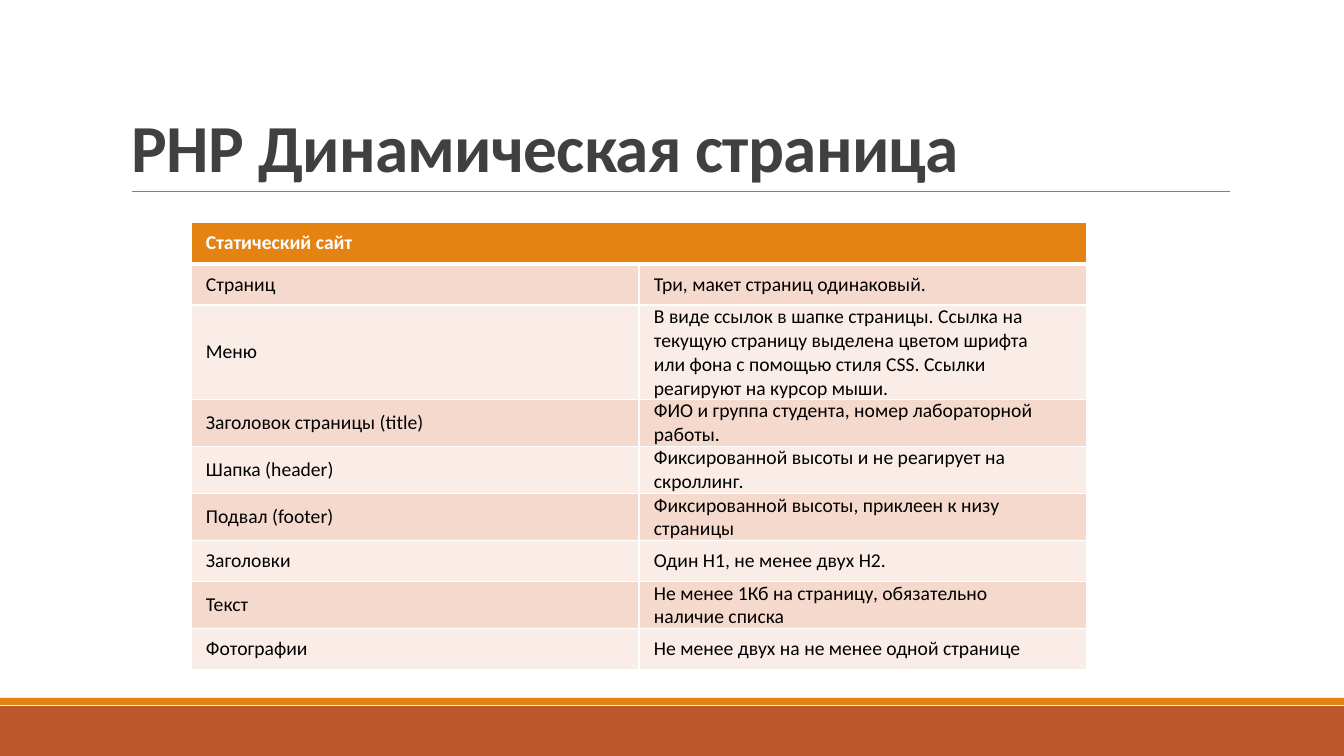
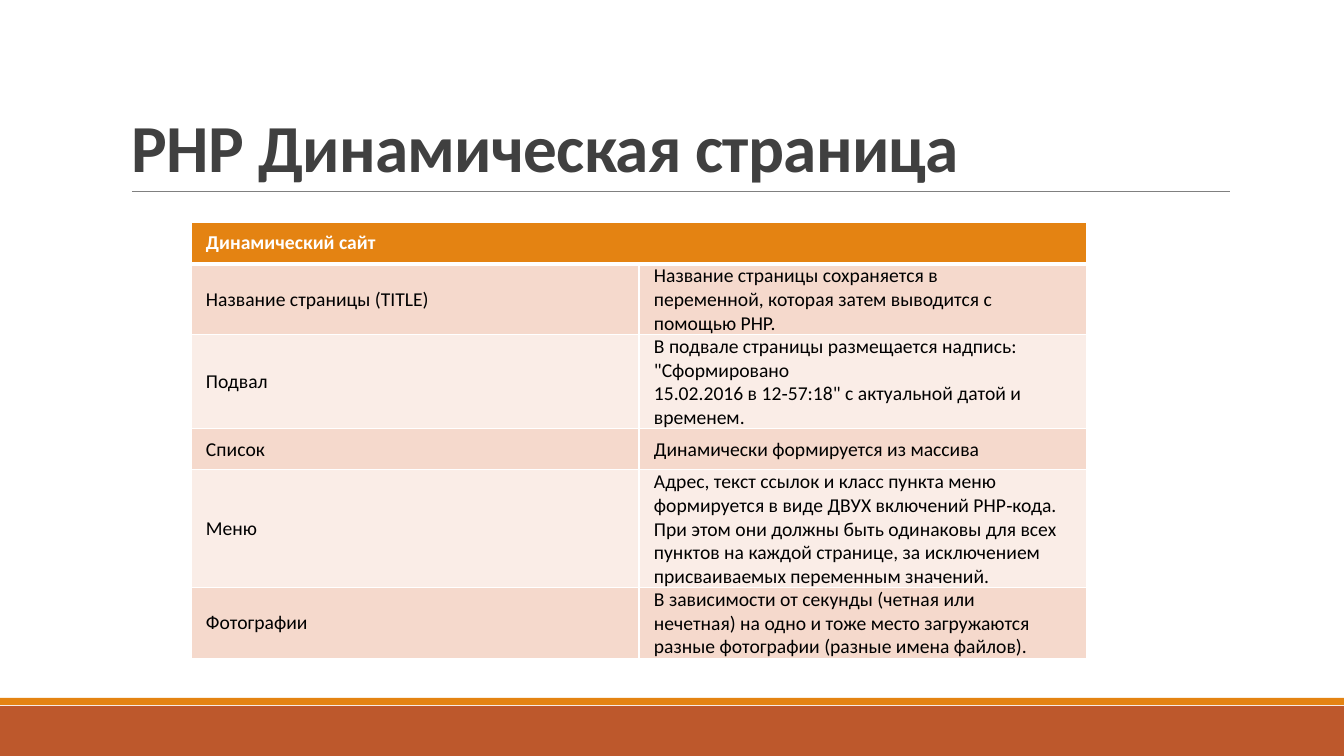
"""Build two slides that compare the requirements for a static and a dynamic site."""
from dataclasses import dataclass

from lxml.etree import SubElement
from pptx import Presentation
from pptx.dml.color import RGBColor
from pptx.enum.shapes import MSO_CONNECTOR, MSO_SHAPE
from pptx.enum.text import MSO_ANCHOR
from pptx.oxml import parse_xml
from pptx.oxml.ns import nsdecls, qn
from pptx.util import Emu, Pt


@dataclass(frozen=True)
class Theme:
    font: str = "Calibri"
    title_size: int = 48
    table_size: int = 14
    title: str = "404040"
    text: str = "000000"
    white: str = "FFFFFF"
    rule: str = "808080"
    orange: str = "E48312"
    rust: str = "BD582C"
    row_fills: tuple = ("F5D9CC", "FAEDE7")


def px(n):
    return Emu(round(n * 914400 / 100.8))


def set_font(p, size, color, bold):
    p.font.name = theme.font
    p.font.size = Pt(size)
    p.font.bold = bold
    p.font.color.rgb = RGBColor.from_string(color)


theme = Theme()
TITLE = "PHP Динамическая страница"
BANDS = [(706, 50, theme.rust), (698, 7, theme.orange)]
HEADER_H, ROW_H, COL_W = 42, 41, 448
RIGHT_MARGIN, NARROW_MARGIN = 45, 20
TABLES = [
    ("Статический сайт", [
        ("Страниц", "Три, макет страниц одинаковый."),
        ("Меню", "В виде ссылок в шапке страницы. Ссылка на текущую страницу "
                 "выделена цветом шрифта или фона с помощью стиля CSS. "
                 "Ссылки реагируют на курсор мыши."),
        ("Заголовок страницы (title)", "ФИО и группа студента, номер лабораторной работы."),
        ("Шапка (header)", "Фиксированной высоты и не реагирует на скроллинг."),
        ("Подвал (footer)", "Фиксированной высоты, приклеен к низу страницы"),
        ("Заголовки", "Один H1, не менее двух H2."),
        ("Текст", "Не менее 1Кб на страницу, обязательно наличие списка"),
        ("Фотографии", "Не менее двух на не менее одной странице"),
    ]),
    ("Динамический сайт", [
        ("Название страницы (TITLE)", "Название страницы сохраняется в переменной, "
                                      "которая затем выводится с помощью PHP."),
        ("Подвал", "В подвале страницы размещается надпись: \"Сформировано\n"
                   "15.02.2016 в 12‐57:18\" с актуальной датой и временем."),
        ("Список", "Динамически формируется из массива"),
        ("Меню", "Адрес, текст ссылок и класс пункта меню формируется в виде ДВУХ "
                 "включений PHP‐кода. При этом они должны быть одинаковы для всех "
                 "пунктов на каждой странице, за исключением присваиваемых "
                 "переменным значений.", NARROW_MARGIN),
        ("Фотографии", "В зависимости от секунды (четная или нечетная) на одно и тоже "
                       "место загружаются разные фотографии (разные имена файлов)."),
    ]),
]

prs = Presentation()
prs.slide_width, prs.slide_height = px(1344), px(756)

for heading, rows in TABLES:
    s = prs.slides.add_slide(prs.slide_layouts[6])

    for top, height, color in BANDS:
        sp = s.shapes.add_shape(MSO_SHAPE.RECTANGLE, 0, px(top), px(1344), px(height))
        sp.shadow.inherit = False
        sp.fill.solid()
        sp.fill.fore_color.rgb = RGBColor.from_string(color)
        sp.line.fill.background()

    rule = s.shapes.add_connector(MSO_CONNECTOR.STRAIGHT, px(132), px(191), px(1230), px(191))
    rule.line.color.rgb = RGBColor.from_string(theme.rule)
    rule.line.width = Pt(0.5)
    SubElement(rule._element.spPr, qn("a:effectLst"))

    tf = s.shapes.add_textbox(px(122), px(31), px(1108), px(160)).text_frame
    tf.word_wrap = True
    tf.vertical_anchor = MSO_ANCHOR.BOTTOM
    p = tf.paragraphs[0]
    p.line_spacing = 0.85
    set_font(p, theme.title_size, theme.title, True)
    r = p.add_run()
    r.text = TITLE
    r._r.get_or_add_rPr().set("spc", "-50")

    grid = [(heading, ""), *rows]
    table = s.shapes.add_table(len(grid), 2, px(191), px(222), px(2 * COL_W),
                               px(HEADER_H + len(rows) * ROW_H)).table
    for col in table.columns:
        col.width = px(COL_W)
    table.cell(0, 0).merge(table.cell(0, 1))

    for i, (label, detail, *margin) in enumerate(grid):
        header = i == 0
        table.rows[i].height = px(HEADER_H if header else ROW_H)
        fill = theme.orange if header else theme.row_fills[(i - 1) % 2]
        borders = {"L": 1, "R": 1, "T": 3 if i == 1 else 1, "B": 3 if header else 1}
        for j, text in enumerate((label, detail)):
            cell = table.cell(i, j)
            cell.text = text
            cell.vertical_anchor = MSO_ANCHOR.MIDDLE
            cell.margin_left = px(15)
            cell.margin_right = px(margin[0] if margin else RIGHT_MARGIN)
            cell.margin_top = cell.margin_bottom = 0
            cell.fill.solid()
            cell.fill.fore_color.rgb = RGBColor.from_string(fill)
            for k, p in enumerate(cell.text_frame.paragraphs):
                p.space_before = Pt(0 if k else 2.3)
                set_font(p, theme.table_size, theme.white if header else theme.text, header)
            tcPr = cell._tc.get_or_add_tcPr()
            for n, (side, width) in enumerate(borders.items()):
                tcPr.insert(n, parse_xml(
                    f'<a:ln{side} {nsdecls("a")} w="{Pt(width)}"><a:solidFill>'
                    f'<a:srgbClr val="{theme.white}"/></a:solidFill></a:ln{side}>'))

prs.save("out.pptx")
